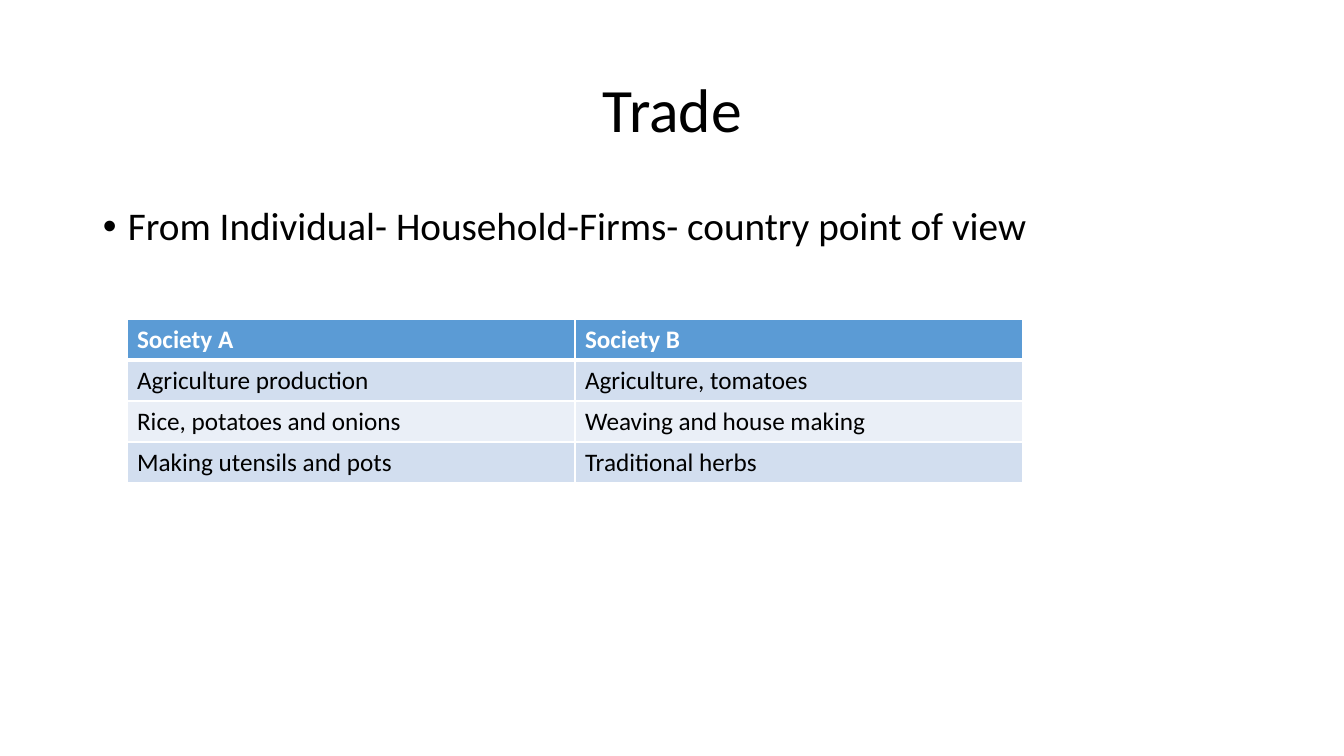
"""Build the Trade slide with its two-society production table."""
import pptx
import pptx.dml.color
import pptx.enum.text
import pptx.oxml
import pptx.oxml.ns
import pptx.util

THEME = {
    "font": "Calibri", "black": "000000", "white": "FFFFFF", "header": "5B9BD5",
    "bands": ("D2DEEF", "EAEFF7"),
    "title_size": 44, "bullet_size": 28, "table_size": 18,
    "thin_rule": 1, "header_rule": 3,
}
SOCIETIES = [
    ("Society A", "Society B"),
    ("Agriculture production", "Agriculture, tomatoes"),
    ("Rice, potatoes and onions", "Weaving and house making"),
    ("Making utensils and pots", "Traditional herbs"),
]
COLUMN_WIDTH, ROW_HEIGHT = 448, 41


def px(length):
    """Turn px into EMU."""
    return round(length * 914400 / 100.8)


def write(paragraph, text, size, color, bold=False):
    """Add a formatted run to the paragraph."""
    run = paragraph.add_run()
    run.text = text
    formats = {"name": THEME["font"], "size": pptx.util.Pt(size), "bold": bold}
    for attribute, value in formats.items():
        setattr(run.font, attribute, value)
    run.font.color.rgb = pptx.dml.color.RGBColor.from_string(color)


presentation = pptx.Presentation()
presentation.slide_width, presentation.slide_height = px(1344), px(756)
slide = presentation.slides.add_slide(presentation.slide_layouts[5])

title = slide.shapes.title
for attribute, value in {"left": 93, "top": 40, "width": 1159, "height": 146}.items():
    setattr(title, attribute, px(value))
title.text_frame.vertical_anchor = pptx.enum.text.MSO_ANCHOR.MIDDLE
heading = title.text_frame.paragraphs[0]
heading.alignment = pptx.enum.text.PP_ALIGN.CENTER
heading.line_spacing = 0.9
write(heading, "Trade", THEME["title_size"], THEME["black"])

viewpoint = slide.shapes.add_textbox(px(93), px(202), px(1159), px(480))
viewpoint.text_frame.word_wrap = True
bullet = viewpoint.text_frame.paragraphs[0]
bullet_format = bullet._p.get_or_add_pPr()
bullet_format.set("marL", str(px(25)))
bullet_format.set("indent", str(px(-25)))
for element in ('a:buFont {} typeface="Arial"', 'a:buChar {} char="•"'):
    namespace = pptx.oxml.ns.nsdecls("a")
    bullet_format.append(pptx.oxml.parse_xml(f"<{element.format(namespace)}/>"))
bullet.line_spacing = 0.9
write(bullet, "From Individual- Household-Firms- country point of view",
      THEME["bullet_size"], THEME["black"])

societies = slide.shapes.add_table(
    len(SOCIETIES), 2, px(127), px(319),
    px(2 * COLUMN_WIDTH), px(len(SOCIETIES) * ROW_HEIGHT)).table
for column in societies.columns:
    column.width = px(COLUMN_WIDTH)
for row_index, products in enumerate(SOCIETIES):
    societies.rows[row_index].height = px(ROW_HEIGHT)
    is_header = row_index == 0
    fill = THEME["header"] if is_header else THEME["bands"][(row_index - 1) % 2]
    rules = dict.fromkeys("LRTB", THEME["thin_rule"])
    if row_index < 2:
        rules["B" if is_header else "T"] = THEME["header_rule"]
    for column_index, product in enumerate(products):
        cell = societies.cell(row_index, column_index)
        cell_format = cell._tc.get_or_add_tcPr()
        for side, points in rules.items():
            cell_format.append(pptx.oxml.parse_xml(
                f'<a:ln{side} {pptx.oxml.ns.nsdecls("a")} w="{pptx.util.Pt(points)}">'
                f'<a:solidFill><a:srgbClr val="{THEME["white"]}"/></a:solidFill>'
                f'</a:ln{side}>'))
        cell.fill.solid()
        cell.fill.fore_color.rgb = pptx.dml.color.RGBColor.from_string(fill)
        write(cell.text_frame.paragraphs[0], product, THEME["table_size"],
              THEME["white"] if is_header else THEME["black"], is_header)

presentation.save("out.pptx")
